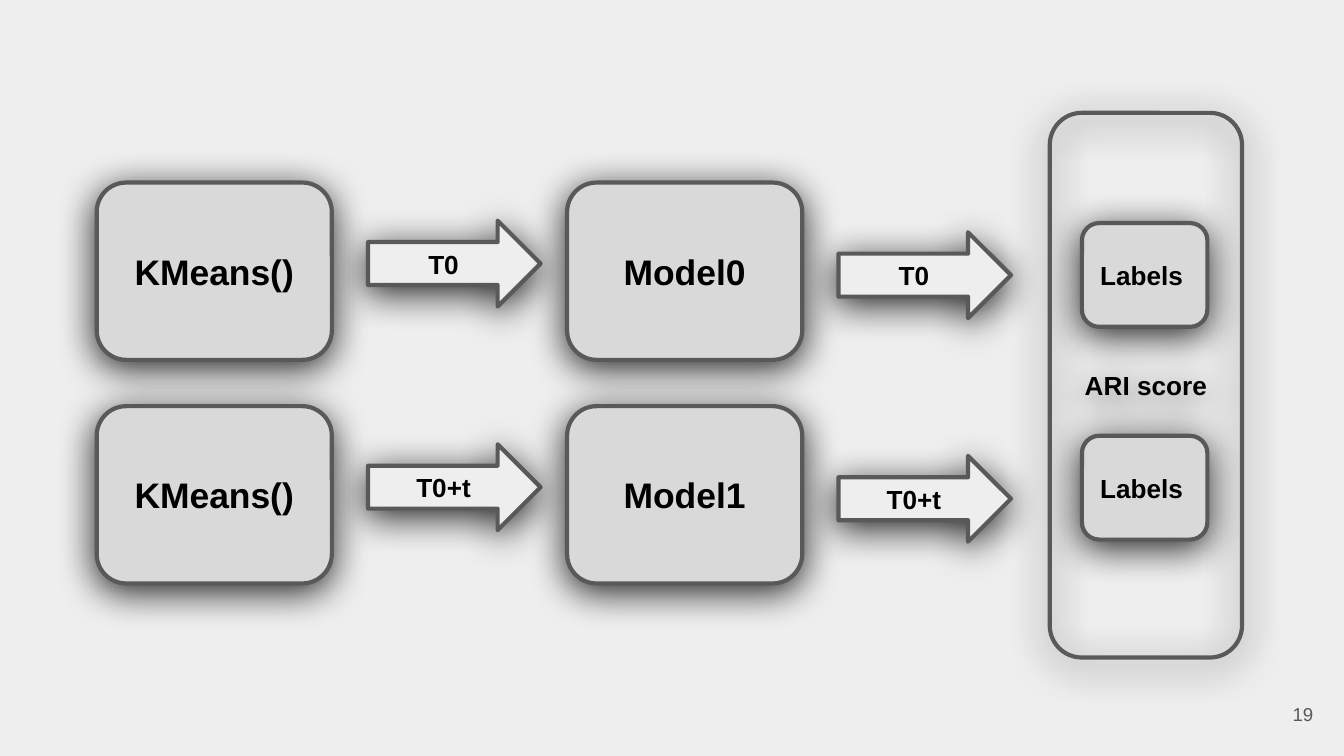
from lxml import etree
from pptx import Presentation
from pptx.dml.color import RGBColor
from pptx.enum.shapes import MSO_SHAPE
from pptx.enum.text import MSO_ANCHOR, PP_ALIGN
from pptx.oxml.ns import qn
from pptx.util import Pt

BOX = MSO_SHAPE.FLOWCHART_ALTERNATE_PROCESS
ROUND = MSO_SHAPE.ROUNDED_RECTANGLE
ARROW = MSO_SHAPE.RIGHT_ARROW
LEFT, CENTER, RIGHT = PP_ALIGN.LEFT, PP_ALIGN.CENTER, PP_ALIGN.RIGHT
MIDDLE = MSO_ANCHOR.MIDDLE

BACKGROUND, GRAY, DARK, BLACK = "EEEEEE", "D9D9D9", "595959", "000000"
COLUMN_STEP, ROW_STEP = 252, 119.8


def write(s, text, size, color=BLACK, bold=True, align=CENTER):
    tf = s.text_frame
    tf.word_wrap = True
    tf.vertical_anchor = MIDDLE
    tf.margin_left = tf.margin_right = tf.margin_top = tf.margin_bottom = Pt(7.2)
    p = tf.paragraphs[0]
    p.text = text
    p.alignment = align
    p.font.name = "Arial"
    p.font.size = Pt(size)
    p.font.bold = bold
    p.font.color.rgb = RGBColor.from_string(color)


def add_block(kind, x, y, w, h, text, size=14, fill=None, align=CENTER):
    """Add an outlined shape with a soft shadow; no fill colour leaves it hollow."""
    s = slide.shapes.add_shape(kind, Pt(x), Pt(y), Pt(w), Pt(h))
    if fill:
        s.fill.solid()
        s.fill.fore_color.rgb = RGBColor.from_string(fill)
    else:
        s.fill.background()
    s.line.color.rgb = RGBColor.from_string(DARK)
    s.line.width = Pt(2.25)
    s.shadow.inherit = False
    effects = s._element.spPr.find(qn("a:effectLst"))
    shadow = etree.SubElement(effects, qn("a:outerShdw"), blurRad=str(Pt(20.2)),
                              dist=str(Pt(3.8)), dir=str(97 * 60000),
                              algn="bl", rotWithShape="0")
    color = etree.SubElement(shadow, qn("a:srgbClr"), val=BLACK)
    etree.SubElement(color, qn("a:alpha"), val="82000")
    write(s, text, size, align=align)


prs = Presentation()
prs.slide_width, prs.slide_height = Pt(720), Pt(405)
slide = prs.slides.add_slide(prs.slide_layouts[6])
slide.background.fill.solid()
slide.background.fill.fore_color.rgb = RGBColor.from_string(BACKGROUND)

# One pipeline per row: estimator, fitted model, labels
pipelines = [("KMeans()", "Model0", "T0"), ("KMeans()", "Model1", "T0+t")]
for row, (estimator, model, time) in enumerate(pipelines):
    dy = row * ROW_STEP
    for column, (name, arrow_y) in enumerate([(estimator, 118.2), (model, 124.4)]):
        dx = column * COLUMN_STEP
        add_block(BOX, 51.8, 97.8 + dy, 126, 95, name, 19, GRAY)
        s = slide.shapes[-1]
        s.left = Pt(51.8 + dx)
        add_block(ARROW, 197.2 + dx, arrow_y + dy, 92.4, 46, time, fill=BACKGROUND)
    add_block(ROUND, 579.6, 119.5 + row * 114, 67.2, 55.6, "Labels", fill=GRAY, align=LEFT)

# Frame around both label sets
add_block(BOX, 562.4, 60.5, 103, 291.8, "ARI score")

# Slide number
s = slide.shapes.add_textbox(Pt(667.4), Pt(367.2), Pt(43.2), Pt(31))
write(s, "19", 10, DARK, False, RIGHT)

prs.save("out.pptx")
